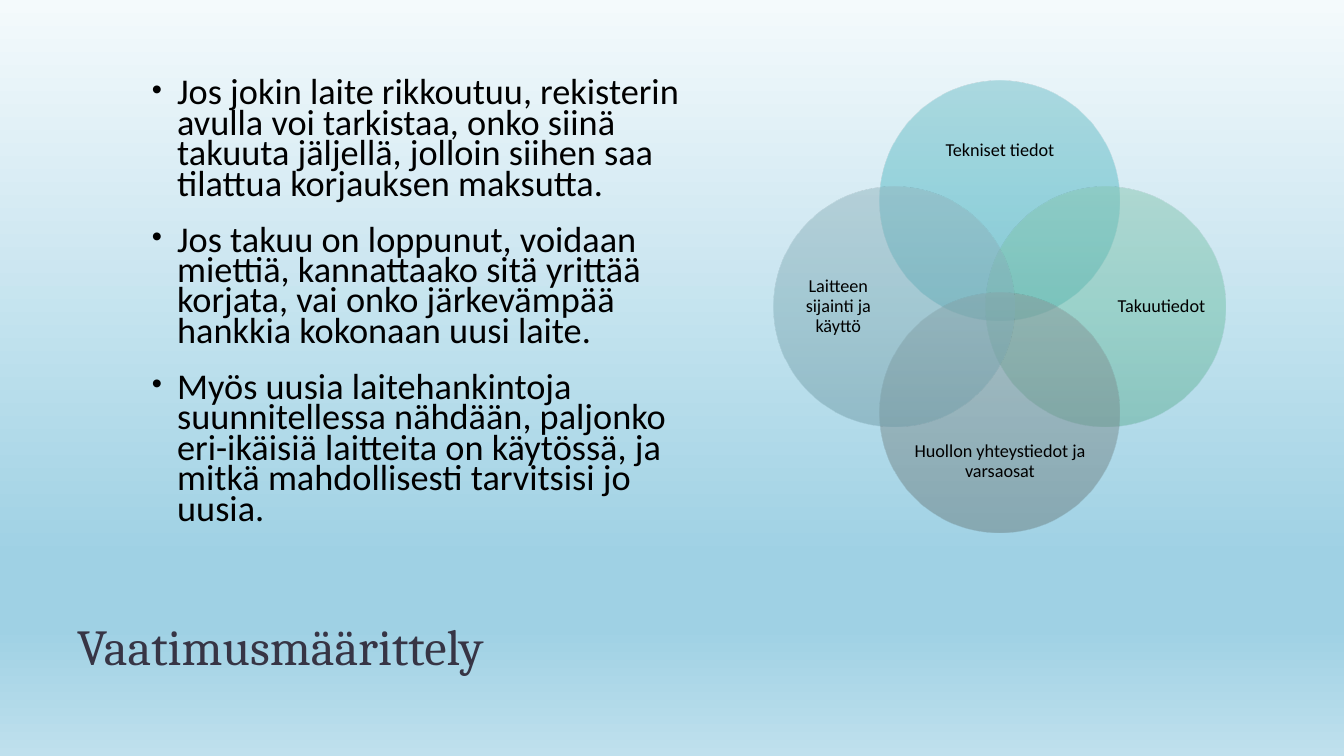
from lxml.etree import SubElement
from pptx import Presentation
from pptx.dml.color import RGBColor
from pptx.enum.shapes import MSO_SHAPE
from pptx.enum.text import MSO_ANCHOR, PP_ALIGN
from pptx.oxml.ns import qn
from pptx.util import Pt

BLACK = RGBColor(0x00, 0x00, 0x00)
TITLE = RGBColor(0x37, 0x35, 0x45)
SKY = [(0, "F4FAFC"), (74, "9FD1E4"), (83, "9FD1E4"), (100, "BFE0ED")]

prs = Presentation()
prs.slide_width, prs.slide_height = Pt(960), Pt(540)
s = prs.slides.add_slide(prs.slide_layouts[6])


def add_gradient_shape(kind, x, y, w, h, stops, opacity=100):
    sp = s.shapes.add_shape(kind, Pt(x), Pt(y), Pt(w), Pt(h))
    sp.shadow.inherit = False
    sp.line.fill.background()
    sp.fill.gradient()
    sp.fill.gradient_angle = 270
    # Replace the two default stops
    stop_list = sp._element.spPr.find(qn("a:gradFill")).find(qn("a:gsLst"))
    for gs in list(stop_list):
        stop_list.remove(gs)
    for pos, color in stops:
        gs = SubElement(stop_list, qn("a:gs"), pos=str(pos * 1000))
        clr = SubElement(gs, qn("a:srgbClr"), val=color)
        if opacity < 100:
            SubElement(clr, qn("a:alpha"), val=str(opacity * 1000))


def add_text(x, y, w, h, lines, font, size, color, spacing, anchor, inset=True):
    tf = s.shapes.add_textbox(Pt(x), Pt(y), Pt(w), Pt(h)).text_frame
    tf.word_wrap = True
    tf.vertical_anchor = anchor
    if not inset:
        tf.margin_left = tf.margin_right = tf.margin_top = tf.margin_bottom = 0
    tf.text = "\n".join(lines)
    for p in tf.paragraphs:
        p.line_spacing = spacing
        f = p.runs[0].font
        f.name, f.size, f.color.rgb = font, Pt(size), color
    return tf


# Background
add_gradient_shape(MSO_SHAPE.RECTANGLE, 0, 0, 960, 540, SKY)

# Venn diagram: label, direction from the centre, gradient
CX, CY = 714.2, 218.9
DIAMETER, SHIFT = 171.6, 75.6
circles = [
    ("Tekniset tiedot", 0, -1, ("6FBEC7", "53BAC5", "44AAB5")),
    ("Takuutiedot", 1, 0, ("86C5B1", "71C1A8", "61AF97")),
    ("Huollon yhteystiedot ja varsaosat", 0, 1, ("89999A", "798D8F", "6A7E80")),
    ("Laitteen sijainti ja käyttö", -1, 0, ("92B5BE", "82AEB8", "709CA7")),
]
for label, dx, dy, colors in circles:
    add_gradient_shape(MSO_SHAPE.OVAL,
                       CX + dx * SHIFT - DIAMETER / 2, CY + dy * SHIFT - DIAMETER / 2,
                       DIAMETER, DIAMETER, list(zip((0, 50, 100), colors)), 50)
    w, h = (66, 132) if dx else (132, 55)
    tf = add_text(CX + dx * 115.4 - w / 2, CY + dy * 111 - h / 2, w, h, [label],
                  "Calibri", 13, BLACK, 0.9, MSO_ANCHOR.MIDDLE, inset=False)
    tf.paragraphs[0].alignment = PP_ALIGN.CENTER

# Bullet list
points = [
    "Jos jokin laite rikkoutuu, rekisterin avulla voi tarkistaa, onko siinä takuuta "
    "jäljellä, jolloin siihen saa tilattua korjauksen maksutta.",
    "Jos takuu on loppunut, voidaan miettiä, kannattaako sitä yrittää korjata, vai "
    "onko järkevämpää hankkia kokonaan uusi laite.",
    "Myös uusia laitehankintoja suunnitellessa nähdään, paljonko eri-ikäisiä laitteita "
    "on käytössä, ja mitkä mahdollisesti tarvitsisi jo uusia.",
]
tf = add_text(101.5, 54, 396, 330, points, "Calibri", 25.9, BLACK, 0.7, MSO_ANCHOR.TOP)
for p in tf.paragraphs:
    p.space_before = Pt(18)
    pPr = p._p.get_or_add_pPr()
    pPr.set("marL", str(Pt(18)))
    pPr.set("indent", str(-Pt(18)))
    SubElement(pPr, qn("a:buSzPct"), val="80000")
    SubElement(pPr, qn("a:buFont"), typeface="Arial")
    SubElement(pPr, qn("a:buChar"), char="•")

# Title
add_text(48, 402, 864, 84, ["Vaatimusmäärittely"], "Cambria", 36, TITLE, 0.8,
         MSO_ANCHOR.BOTTOM)

prs.save("out.pptx")
